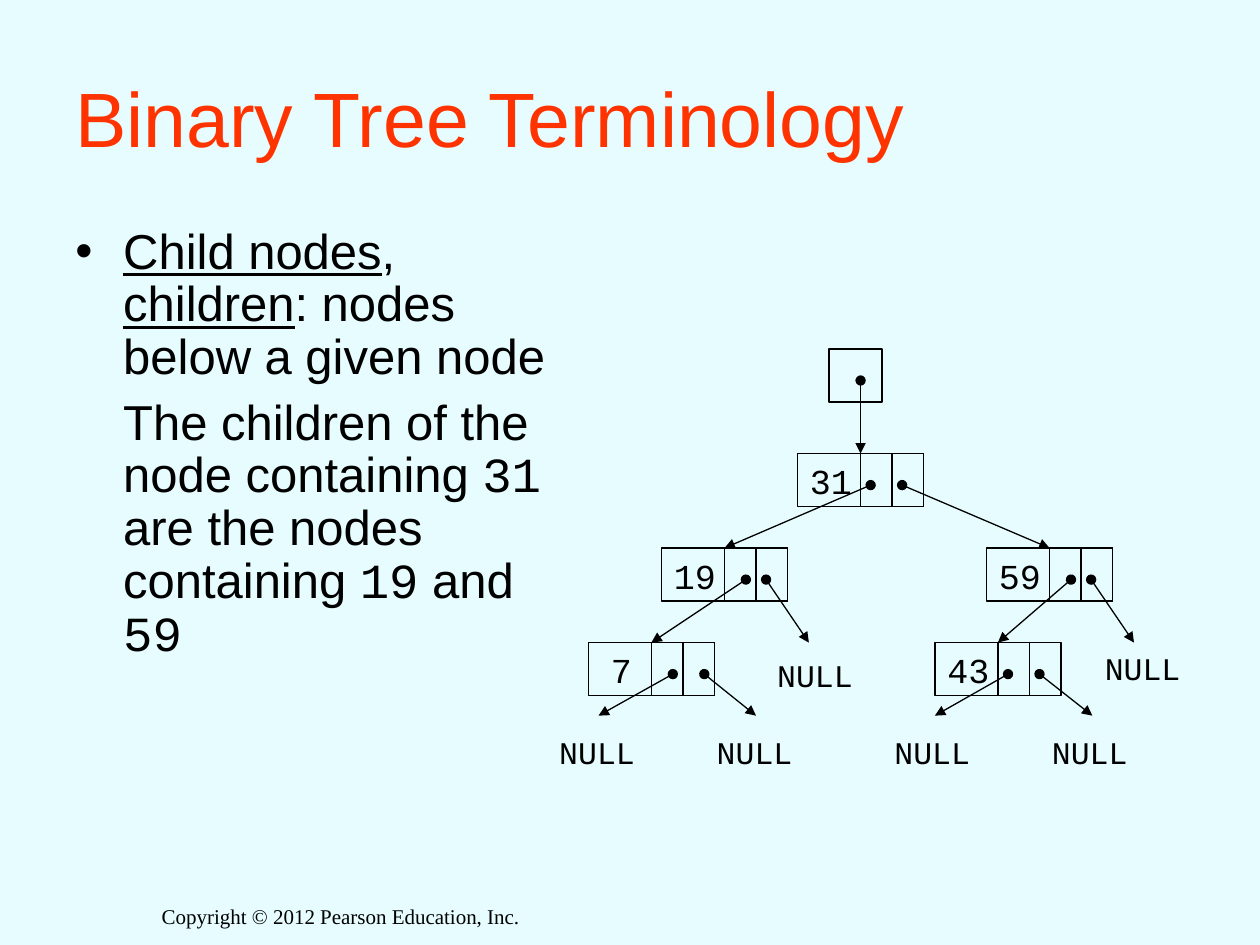
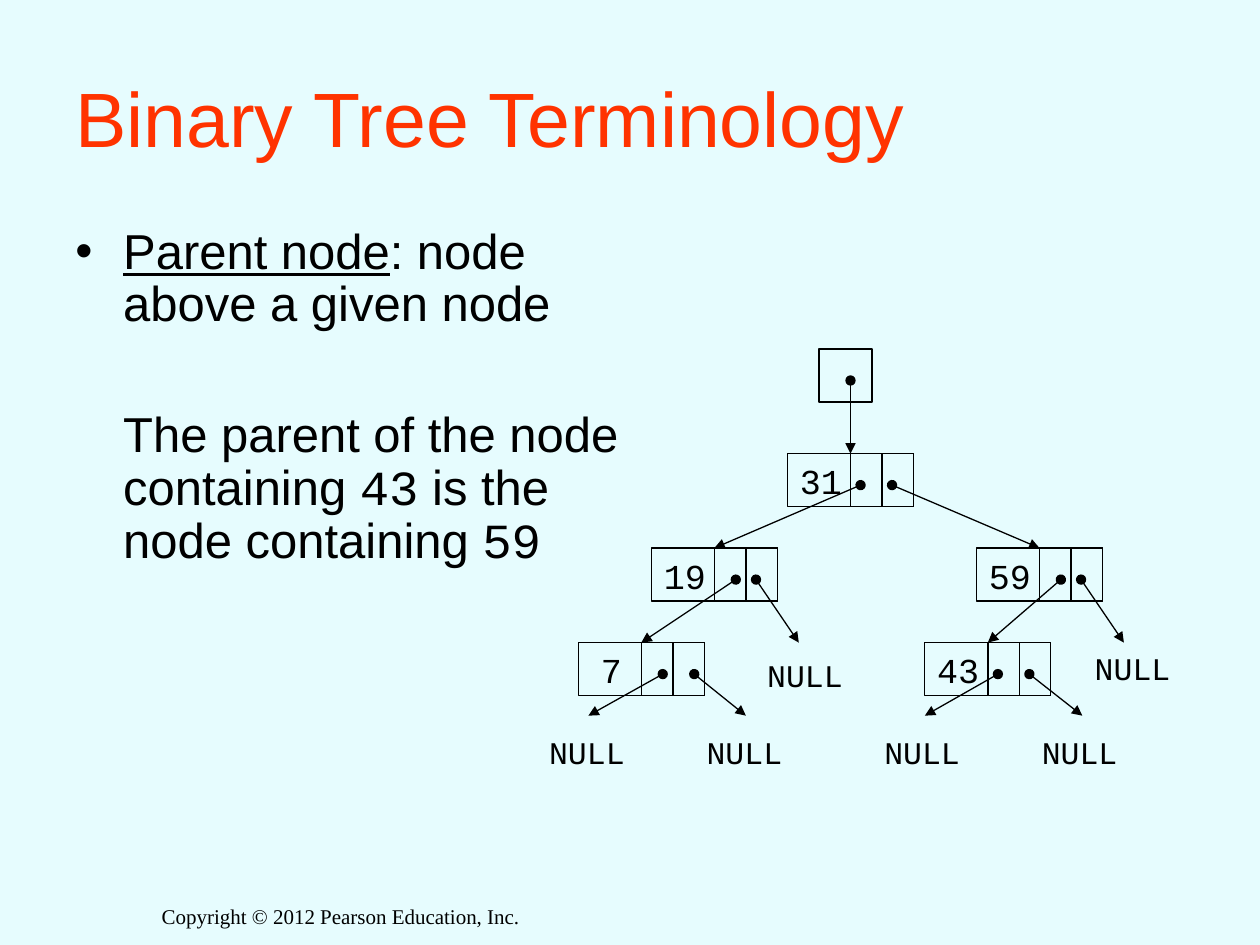
"""Build two slides that explain binary tree terminology."""
from dataclasses import dataclass
from typing import NamedTuple, Optional, Union

from lxml.etree import SubElement
from pptx import Presentation
from pptx.dml.color import RGBColor
from pptx.enum.shapes import MSO_CONNECTOR, MSO_SHAPE
from pptx.enum.text import MSO_ANCHOR, PP_ALIGN
from pptx.oxml.ns import qn
from pptx.util import Inches, Pt


@dataclass(frozen=True)
class Theme:
    """Colours, fonts and sizes shared by the slides."""
    background: RGBColor = RGBColor(0xE6, 0xFC, 0xFE)
    title: RGBColor = RGBColor(0xFF, 0x33, 0x00)
    ink: RGBColor = RGBColor(0, 0, 0)
    sans: str = "Arial"
    mono: str = "Courier New"
    serif: str = "Times New Roman"
    title_size: int = 44
    body_size: int = 28
    value_size: int = 20
    null_size: int = 18
    footer_size: int = 12
    line_width: float = 0.75


THEME = Theme()
NODE_WIDTH, NODE_HEIGHT, LINK_WIDTH = 1.0, 0.42, 0.25
VALUE_WIDTH, VALUE_HEIGHT = 0.6, 0.44
POINTER_DROP = 0.25
TREE_TOP = 2.77


class Box(NamedTuple):
    """Position and size in inches."""
    left: float
    top: float
    width: float
    height: float


class Run(NamedTuple):
    """A piece of text with its emphasis."""
    text: str
    underline: bool = False
    mono: bool = False


@dataclass(frozen=True)
class Paragraph:
    """Runs with the bullet and the space before them."""
    runs: list[Run]
    bullet: bool = False
    space_before: float = 0


@dataclass(frozen=True)
class Null:
    """An empty link: arrow end from the node corner, label from the arrow end."""
    end_x: float
    end_y: float
    label_x: float
    label_y: float


@dataclass(frozen=True)
class Node:
    """A tree node placed from the tree's left and top, with its two links."""
    value: str
    x: float
    y: float
    left_pointer: float
    right_pointer: float
    left: Union["Node", Null]
    right: Union["Node", Null]
    value_x: float = 0


@dataclass(frozen=True)
class Lesson:
    """The content that differs between the slides."""
    paragraphs: list[Paragraph]
    body_width: float
    tree_left: float


NODE_7 = Node("7", 0, 2.33, 0.67, 0.92, Null(0.08, 0.58, -0.41, 0.09),
              Null(1.33, 0.58, -0.41, 0.09), value_x=0.08)
NODE_43 = Node("43", 2.75, 2.33, 0.58, 0.83, Null(0, 0.58, -0.42, 0.09),
               Null(1.25, 0.58, -0.42, 0.09))
NODE_19 = Node("19", 0.58, 1.58, 0.67, 0.83, NODE_7, Null(1.17, 0.75, -0.35, 0.06))
NODE_59 = Node("59", 3.16, 1.58, 0.67, 0.83, NODE_43, Null(1.17, 0.75, -0.33, 0))
ROOT = Node("31", 1.66, 0.83, 0.58, 0.83, NODE_19, NODE_59)

LESSONS = [
    Lesson([
        Paragraph([Run("Child nodes", underline=True), Run(", "),
                   Run("children", underline=True),
                   Run(": nodes below a given node")], bullet=True),
        Paragraph([Run("The children of the node containing "), Run("31", mono=True),
                   Run(" are the nodes containing "), Run("19", mono=True),
                   Run(" and "), Run("59", mono=True)], space_before=7),
    ], body_width=4.17, tree_left=4.67),
    Lesson([
        Paragraph([Run("Parent node", underline=True),
                   Run(": node above a given node")], bullet=True),
        Paragraph([Run("The parent of the node containing "), Run("43", mono=True),
                   Run(" is the node containing "), Run("59", mono=True)],
                  space_before=44.5),
    ], body_width=4.54, tree_left=4.59),
]


def add_text(shapes, box: Box, content: Union[str, list[Paragraph]], *, size: float,
             font: str = THEME.sans, color: RGBColor = THEME.ink, wrap: bool = True,
             align=PP_ALIGN.LEFT, anchor=MSO_ANCHOR.TOP, indent: float = 0,
             line_spacing: Optional[float] = None) -> None:
    """Add a text box holding a string or a list of paragraphs."""
    frame = shapes.add_textbox(*map(Inches, box)).text_frame
    frame.word_wrap = wrap
    frame.vertical_anchor = anchor
    paragraphs = [Paragraph([Run(content)])] if isinstance(content, str) else content
    for index, item in enumerate(paragraphs):
        paragraph = frame.add_paragraph() if index else frame.paragraphs[0]
        if indent:
            properties = paragraph._p.get_or_add_pPr()
            properties.set("marL", str(Inches(indent)))
            properties.set("indent", str(-Inches(indent) if item.bullet else 0))
            if item.bullet:
                SubElement(properties, qn("a:buFont")).set("typeface", font)
                SubElement(properties, qn("a:buChar")).set("char", "•")
        paragraph.alignment = align
        if line_spacing:
            paragraph.line_spacing = line_spacing
        if item.space_before:
            paragraph.space_before = Pt(item.space_before)
        for piece in item.runs:
            run = paragraph.add_run()
            run.text = piece.text
            run.font.name = THEME.mono if piece.mono else font
            run.font.size = Pt(size)
            run.font.color.rgb = color
            if piece.underline:
                run.font.underline = True


def add_cell(shapes, box: Box):
    """Add an outlined rectangle without fill."""
    cell = shapes.add_shape(MSO_SHAPE.RECTANGLE, *map(Inches, box))
    cell.shadow.inherit = False
    cell.fill.background()
    cell.line.color.rgb = THEME.ink
    cell.line.width = Pt(THEME.line_width)
    return cell


def add_pointer(shapes, x: float, y: float, end_x: float, end_y: float, target=None) -> None:
    """Add an arrow with a dot at its start, joined to the top of any target."""
    pointer = shapes.add_connector(MSO_CONNECTOR.STRAIGHT,
                                   *map(Inches, (x, y, end_x, end_y)))
    if target is not None:
        pointer.end_connect(target, 0)
    pointer.line.color.rgb = THEME.ink
    pointer.line.width = Pt(THEME.line_width)
    outline = pointer.line._get_or_add_ln()
    SubElement(outline, qn("a:headEnd")).set("type", "oval")
    SubElement(outline, qn("a:tailEnd")).set("type", "triangle")
    SubElement(pointer._element.spPr, qn("a:effectLst"))


def add_node(shapes, node: Node, tree_left: float):
    """Add a node and everything below it, and return its outer rectangle."""
    left, top = tree_left + node.x, TREE_TOP + node.y
    outer = add_cell(shapes, Box(left, top, NODE_WIDTH, NODE_HEIGHT))
    for step in (2, 1):
        add_cell(shapes, Box(left + NODE_WIDTH - step * LINK_WIDTH, top,
                             LINK_WIDTH, NODE_HEIGHT))
    add_text(shapes, Box(left + node.value_x, top, VALUE_WIDTH, VALUE_HEIGHT), node.value,
             size=THEME.value_size, font=THEME.mono, wrap=False)
    for offset, child in ((node.left_pointer, node.left),
                          (node.right_pointer, node.right)):
        x, y = left + offset, top + POINTER_DROP
        if isinstance(child, Node):
            target = add_node(shapes, child, tree_left)
            add_pointer(shapes, x, y, tree_left + child.x + NODE_WIDTH / 2,
                        TREE_TOP + child.y, target)
        else:
            end_x, end_y = left + child.end_x, top + child.end_y
            add_pointer(shapes, x, y, end_x, end_y)
            add_text(shapes, Box(end_x + child.label_x, end_y + child.label_y, 0.8, 0.4),
                     "NULL", size=THEME.null_size, font=THEME.mono, wrap=False)
    return outer


def add_tree(slide, tree_left: float) -> None:
    """Add the whole tree with the pointer to its root."""
    shapes = slide.shapes.add_group_shape().shapes
    root_center = tree_left + ROOT.x + NODE_WIDTH / 2
    add_cell(shapes, Box(root_center - 0.25, TREE_TOP, NODE_HEIGHT, NODE_HEIGHT))
    root = add_node(shapes, ROOT, tree_left)
    add_pointer(shapes, root_center, TREE_TOP + POINTER_DROP,
                root_center, TREE_TOP + ROOT.y, root)


def add_lesson(presentation, lesson: Lesson) -> None:
    """Add one slide with title, definition, tree and footer."""
    slide = presentation.slides.add_slide(presentation.slide_layouts[6])
    slide.background.fill.solid()
    slide.background.fill.fore_color.rgb = THEME.background
    add_text(slide.shapes, Box(1.08, 7.12, 3.25, 0.61),
             "Copyright © 2012 Pearson Education, Inc.",
             size=THEME.footer_size, font=THEME.serif, align=PP_ALIGN.CENTER)
    add_text(slide.shapes, Box(0.5, 0.3, 9, 1.25), "Binary Tree Terminology",
             size=THEME.title_size, color=THEME.title, anchor=MSO_ANCHOR.MIDDLE)
    add_text(slide.shapes, Box(0.5, 1.75, lesson.body_width, 4.5), lesson.paragraphs,
             size=THEME.body_size, indent=0.38, line_spacing=0.9)
    add_tree(slide, lesson.tree_left)


def main() -> None:
    """Build and save the presentation."""
    presentation = Presentation()
    presentation.slide_width, presentation.slide_height = Inches(10), Inches(7.5)
    for lesson in LESSONS:
        add_lesson(presentation, lesson)
    presentation.save("out.pptx")


if __name__ == "__main__":
    main()
